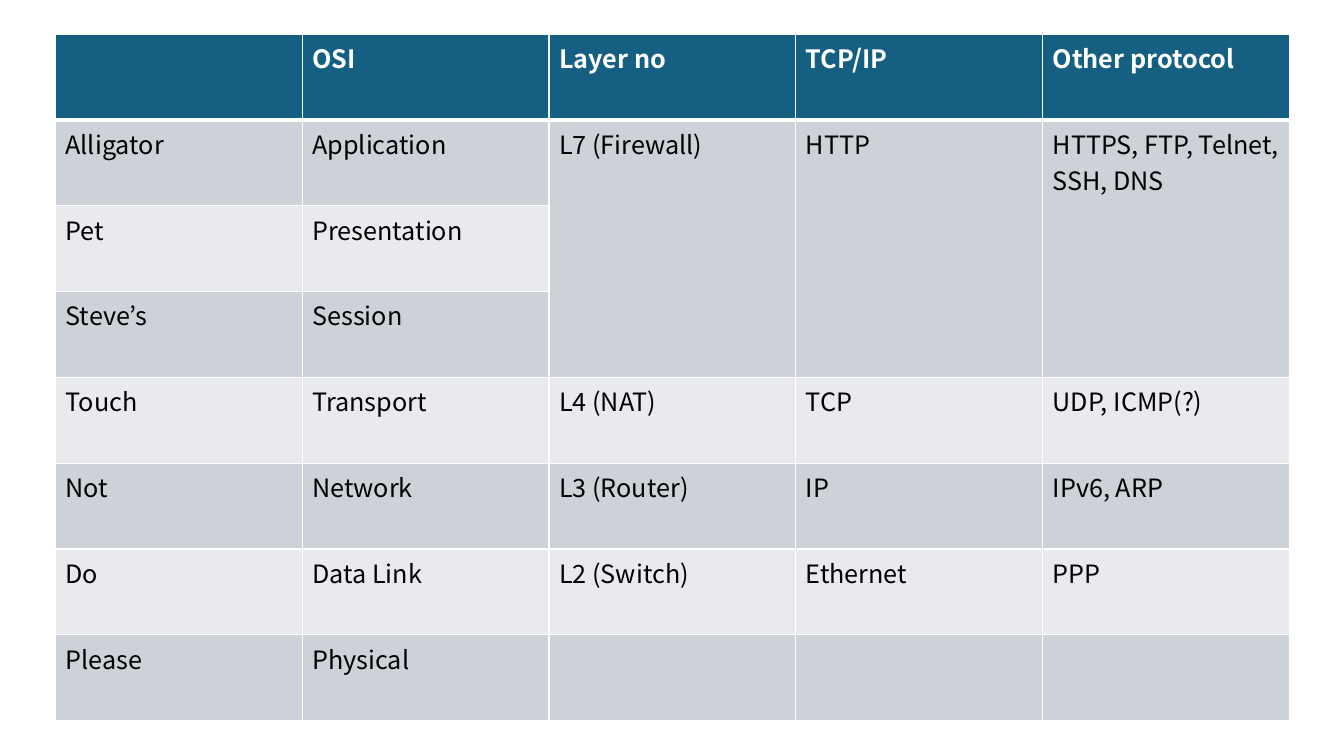
from dataclasses import dataclass

from lxml import etree
from pptx import Presentation
from pptx.dml.color import RGBColor
from pptx.oxml.ns import qn
from pptx.util import Inches, Pt

HEADER = ("", "OSI", "Layer no", "TCP/IP", "Other protocol")
LAYERS = [
    ("Alligator", "Application", "L7 (Firewall)", "HTTP",
     "HTTPS, FTP, Telnet, SSH, DNS"),
    ("Pet", "Presentation", "", "", ""),
    ("Steve’s", "Session", "", "", ""),
    ("Touch", "Transport", "L4 (NAT)", "TCP", "UDP, ICMP(?)"),
    ("Not", "Network", "L3 (Router)", "IP", "IPv6, ARP"),
    ("Do", "Data Link", "L2 (Switch)", "Ethernet", "PPP"),
    ("Please", "Physical", "", "", ""),
]
ROWS = [HEADER] + LAYERS
MERGED = (2, 3, 4)  # columns shared by the top three layers
LEFT, TOP, WIDTH, HEIGHT = 0.55, 0.34, 12.24, 6.81
BLANK = 6


@dataclass(frozen=True)
class Theme:
    font: str = "Noto Sans CJK KR"
    size: int = 18
    head: str = "156082"
    bands: tuple = ("E8EAED", "CCD2D8")
    light: str = "FFFFFF"
    dark: str = "000000"
    thin: int = 1
    thick: int = 3


THEME = Theme()


def add_border(cell, side, width):
    props = cell._tc.get_or_add_tcPr()
    line = etree.SubElement(props, qn(f"a:ln{side}"), w=str(Pt(width)))
    fill = etree.SubElement(line, qn("a:solidFill"))
    etree.SubElement(fill, qn("a:srgbClr"), val=THEME.light)


def style_cell(cell, row):
    """Borders go in before the fill, as the schema orders them."""
    heavy = {0: "B", 1: "T"}.get(row)
    for side in "LRTB":
        add_border(cell, side, THEME.thick if side == heavy else THEME.thin)
    head = row == 0
    cell.fill.solid()
    cell.fill.fore_color.rgb = RGBColor.from_string(
        THEME.head if head else THEME.bands[row % 2])
    for run in cell.text_frame.paragraphs[0].runs:
        font = run.font
        font.name = THEME.font
        font.size = Pt(THEME.size)
        font.bold = head
        font.color.rgb = RGBColor.from_string(
            THEME.light if head else THEME.dark)


def add_layers(slide):
    frame = slide.shapes.add_table(
        len(ROWS), len(HEADER),
        Inches(LEFT), Inches(TOP), Inches(WIDTH), Inches(HEIGHT))
    table = frame.table
    for r, texts in enumerate(ROWS):
        for c, text in enumerate(texts):
            cell = table.cell(r, c)
            cell.text = text
            style_cell(cell, r)
    for c in MERGED:
        table.cell(1, c).merge(table.cell(3, c))


def main():
    deck = Presentation()
    deck.slide_width = Inches(13.33)
    deck.slide_height = Inches(7.5)
    slide = deck.slides.add_slide(deck.slide_layouts[BLANK])
    add_layers(slide)
    deck.save("out.pptx")


if __name__ == "__main__":
    main()
